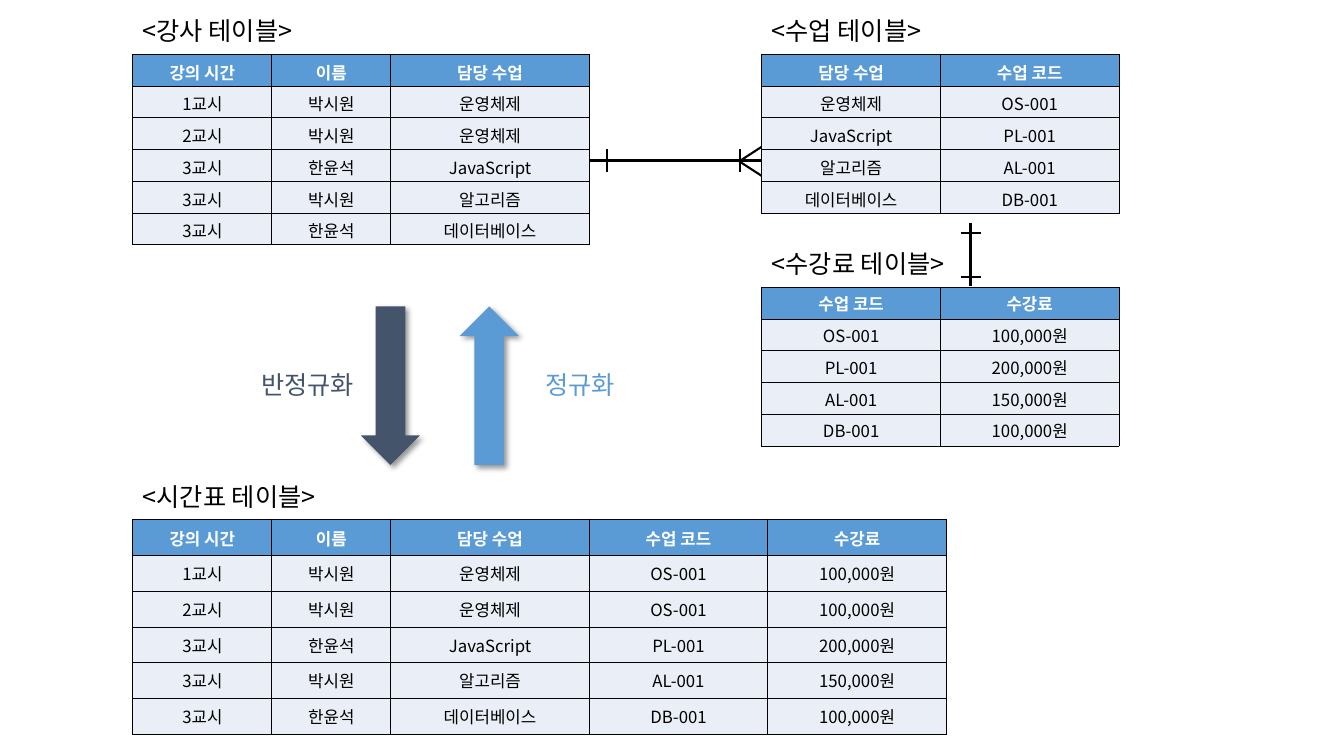
import pptx
import pptx.util
import pptx.dml.color
import pptx.enum.shapes
import pptx.enum.text
import pptx.oxml
import pptx.oxml.ns
from lxml import etree

Cm, Pt = pptx.util.Cm, pptx.util.Pt
RGB = pptx.dml.color.RGBColor.from_string
SHAPE = pptx.enum.shapes.MSO_SHAPE
ALIGN = pptx.enum.text.PP_ALIGN
MIDDLE = pptx.enum.text.MSO_ANCHOR.MIDDLE
qn = pptx.oxml.ns.qn

FONT = "Noto Sans CJK KR"
COLORS = {"blue": "5B9BD5", "navy": "44546A", "pale": "EAEFF7",
          "black": "000000", "white": "FFFFFF"}

# Content
LESSONS = [
    ("1교시", "박시원", "운영체제"),
    ("2교시", "박시원", "운영체제"),
    ("3교시", "한윤석", "JavaScript"),
    ("3교시", "박시원", "알고리즘"),
    ("3교시", "한윤석", "데이터베이스"),
]
CODES = {"운영체제": "OS-001", "JavaScript": "PL-001",
         "알고리즘": "AL-001", "데이터베이스": "DB-001"}
FEES = {"OS-001": "100,000원", "PL-001": "200,000원",
        "AL-001": "150,000원", "DB-001": "100,000원"}
WIDTHS = {"강의 시간": 3.5, "이름": 3, "담당 수업": 5, "수업 코드": 4.5, "수강료": 4.5}
JOINED = [row + (CODES[row[2]], FEES[CODES[row[2]]]) for row in LESSONS]
HEADS = list(WIDTHS)

# Places in centimetres
LEFT, RIGHT = 3.35, 19.2
TOP, MID, LOW = 1.37, 7.24, 13.1
CAP_W, CAP_H = 6.15, 1.2
LINK_Y, LINK_X = 4.04, 24.46
ARROWS = [  # label, colour, arrow left, rotation, label left
    ("반정규화", "navy", 9.09, 0, 6.22),
    ("정규화", "blue", 11.58, 180, 13.08),
]

HEAD = {"size": Pt(12), "bold": True}
BODY = {"size": Pt(12), "bold": False}
LABEL = {"size": Pt(18)}

deck = pptx.Presentation()
deck.slide_width, deck.slide_height = Cm(33.87), Cm(19.05)
slide = deck.slides.add_slide(deck.slide_layouts[6])
shapes = slide.shapes


def write(frame, text, style, color, align):
    para = frame.paragraphs[0]
    para.alignment = align
    run = para.add_run()
    run.text = text
    for key, value in style.items():
        setattr(run.font, key, value)
    run.font.color.rgb = RGB(COLORS[color])
    run.font.name = FONT
    etree.SubElement(run.font._element, qn("a:ea")).set("typeface", FONT)


def label(text, x, y, w, h, color, align):
    frame = shapes.add_textbox(Cm(x), Cm(y), Cm(w), Cm(h)).text_frame
    frame.word_wrap = True
    frame.vertical_anchor = MIDDLE
    write(frame, text, LABEL, color, align)


def border(cell):
    props = cell._tc.get_or_add_tcPr()
    for side in ("lnL", "lnR", "lnT", "lnB"):
        line = etree.SubElement(props, qn("a:" + side), w=str(Pt(0.75)))
        fill = etree.SubElement(line, qn("a:solidFill"))
        etree.SubElement(fill, qn("a:srgbClr"), val=COLORS["black"])


def table(title, heads, rows, x, y, high=0.8, widths=None, pad=0.13):
    """Draw a captioned table whose caption sits right above it."""
    widths = widths or [WIDTHS[head] for head in heads]
    label(title, x, y - CAP_H, CAP_W, CAP_H, "black", ALIGN.LEFT)
    lines = [heads, *rows]
    grid = shapes.add_table(len(lines), len(heads), Cm(x), Cm(y),
                            Cm(sum(widths)), Cm(high * len(lines))).table
    for col, width in zip(grid.columns, widths):
        col.width = Cm(width)
    for r, line in enumerate(lines):
        style, ink, back = (BODY, "black", "pale") if r else (HEAD, "white", "blue")
        for c, text in enumerate(line):
            cell = grid.cell(r, c)
            border(cell)
            cell.fill.solid()
            cell.fill.fore_color.rgb = RGB(COLORS[back])
            cell.vertical_anchor = MIDDLE
            cell.margin_top = cell.margin_bottom = Cm(pad)
            write(cell.text_frame, text, style, ink, ALIGN.CENTER)


def stroke(x1, y1, x2, y2, weight):
    line = shapes.add_connector(pptx.enum.shapes.MSO_CONNECTOR.STRAIGHT,
                                Cm(x1), Cm(y1), Cm(x2), Cm(y2))
    line.line.color.rgb = RGB(COLORS["black"])
    line.line.width = Pt(weight)
    etree.SubElement(line._element.spPr, qn("a:effectLst"))


def links():
    """Draw the one-to-many link and the one-to-one link."""
    foot = shapes.add_shape(SHAPE.ISOSCELES_TRIANGLE,
                            Cm(18.54), Cm(3.76), Cm(0.79), Cm(0.61))
    foot.rotation = 270
    foot.shadow.inherit = False
    foot.fill.solid()
    foot.fill.fore_color.rgb = RGB(COLORS["white"])
    foot.line.color.rgb = RGB(COLORS["black"])
    foot.line.width = Pt(1.5)
    stroke(LEFT + 11.5, LINK_Y, RIGHT, LINK_Y, 2.25)
    for x in (15.29, 18.64):
        stroke(x, LINK_Y - 0.29, x, LINK_Y + 0.29, 1.5)
    stroke(LINK_X, 5.61, LINK_X, 7.21, 2.25)
    for y in (5.87, 6.98):
        stroke(LINK_X - 0.25, y, LINK_X + 0.25, y, 1.5)


def arrow(color, x, turn):
    shape = shapes.add_shape(SHAPE.DOWN_ARROW, Cm(x), Cm(7.72), Cm(1.5), Cm(4))
    shape.rotation = turn
    shape.shadow.inherit = False
    shape.fill.solid()
    shape.fill.fore_color.rgb = RGB(COLORS[color])
    shape.line.fill.background()
    effects = shape._element.spPr.find(qn("a:effectLst"))
    shade = etree.SubElement(effects, qn("a:outerShdw"), blurRad=str(Pt(4)),
                             dist=str(Pt(3)), dir=str(45 * 60000),
                             algn="tl", rotWithShape="0")
    tint = etree.SubElement(shade, qn("a:srgbClr"), val=COLORS["black"])
    etree.SubElement(tint, qn("a:alpha"), val="40000")


table("<강사 테이블>", HEADS[:3], LESSONS, LEFT, TOP)
table("<수강료 테이블>", HEADS[3:], FEES.items(), RIGHT, MID, pad=0.1)
links()
table("<시간표 테이블>", HEADS, JOINED, LEFT, LOW, high=0.9)
table("<수업 테이블>", HEADS[2:4], CODES.items(), RIGHT, TOP, widths=[4.5, 4.5])
for text, color, x, turn, text_x in ARROWS:
    arrow(color, x, turn)
    label(text, text_x, 9.19, 3.07, 1.02, color, ALIGN.CENTER)

deck.save("out.pptx")
